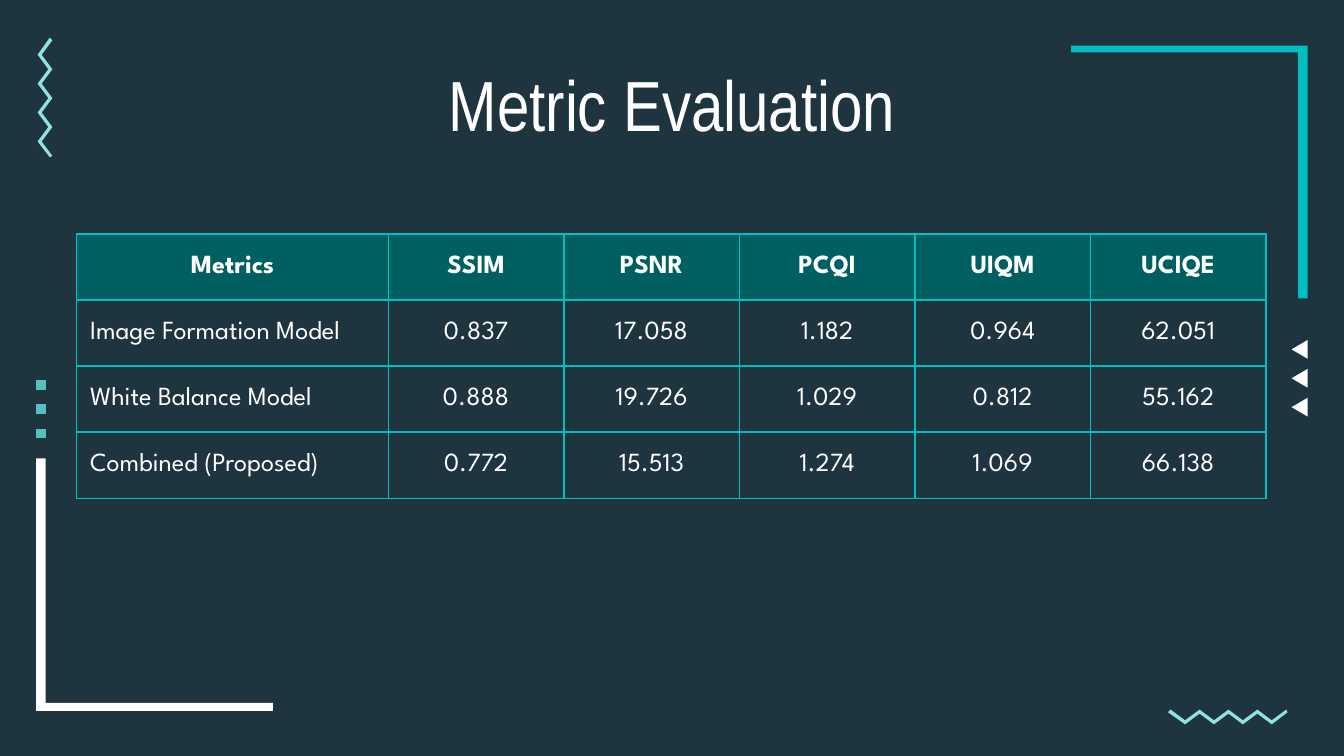
from lxml import etree
from pptx import Presentation
from pptx.dml.color import RGBColor
from pptx.enum.text import MSO_ANCHOR, PP_ALIGN
from pptx.oxml.ns import qn
from pptx.util import Inches, Pt

CENTER, LEFT = PP_ALIGN.CENTER, PP_ALIGN.LEFT
MIDDLE, TOP = MSO_ANCHOR.MIDDLE, MSO_ANCHOR.TOP
rgb = RGBColor.from_string
WHITE, CYAN, PALE, TEAL = "FFFFFF", "01BEC0", "92E0E0", "005F60"

deck = Presentation()
deck.slide_width, deck.slide_height = Inches(10), Inches(10 * 9 / 16)
slide = deck.slides.add_slide(deck.slide_layouts[6])
slide.background.fill.solid()
slide.background.fill.fore_color.rgb = rgb("1E343F")


def draw(points, color):
    """Add a closed, filled outline from points in inches."""
    spots = [(Inches(x), Inches(y)) for x, y in points]
    pen = slide.shapes.build_freeform(*spots[0])
    pen.add_line_segments(spots[1:], close=True)
    shape = pen.convert_to_shape()
    shape.shadow.inherit = False
    shape.fill.solid()
    shape.fill.fore_color.rgb = rgb(color)
    shape.line.fill.background()


def write(para, text, align, style):
    """Put one styled white run in a paragraph."""
    para.alignment = align
    run = para.add_run()
    run.text = text
    for name, value in style.items():
        setattr(run.font, name, value)
    run.font.color.rgb = rgb(WHITE)


# Zigzags: upper edge out, lower edge back
upper = [(0.02 + 0.86 / 8 * i, 0.08 * (i % 2)) for i in range(9)]
lower = [(u, v + 0.03) for u, v in upper]
lower[0], lower[-1] = (0, 0.02), (0.89, 0.02)
zigzag = upper + lower[::-1]
draw([(8.69 + u, 5.28 + v) for u, v in zigzag], PALE)
draw([(0.39 - v, 0.28 + u) for u, v in zigzag], PALE)

# Triangles on the right, squares on the left
for i in range(3):
    y = 2.6 + 0.43 / 2 * i
    draw([(9.61, y), (9.73, y + 0.07), (9.73, y - 0.07)], WHITE)
    y = 2.83 + 0.18 * i
    draw([(0.27, y), (0.34, y), (0.34, y + 0.07), (0.27, y + 0.07)], "58BEBF")

# Corner brackets
draw([(7.97, 0.34), (7.97, 0.39), (9.66, 0.39),
      (9.66, 2.22), (9.73, 2.22), (9.73, 0.34)], CYAN)
draw([(0.27, 3.41), (0.27, 5.29), (2.03, 5.29),
      (2.03, 5.23), (0.34, 5.23), (0.34, 3.41)], WHITE)

# Title
box = slide.shapes.add_textbox(Inches(0.78), Inches(0.4), Inches(8.44), Inches(0.68))
frame = box.text_frame
layout = {"word_wrap": True, "vertical_anchor": TOP,
          "margin_top": Inches(0.05), "margin_bottom": Inches(0.05)}
for name, value in layout.items():
    setattr(frame, name, value)
write(frame.paragraphs[0], "Metric Evaluation", CENTER,
      {"size": Pt(38), "name": "Arial Narrow"})

# Metric table
rows = [
    ["Metrics", "SSIM", "PSNR", "PCQI", "UIQM", "UCIQE"],
    ["Image Formation Model", "0.837", "17.058", "1.182", "0.964", "62.051"],
    ["White Balance Model", "0.888", "19.726", "1.029", "0.812", "55.162"],
    ["Combined (Proposed)", "0.772", "15.513", "1.274", "1.069", "66.138"],
]
table = slide.shapes.add_table(
    len(rows), len(rows[0]), Inches(0.57), Inches(1.74), Inches(8.85), Inches(1.97)
).table
table.horz_banding = False
for c, col in enumerate(table.columns):
    col.width = Inches((8.85 - 2.32) / 5 if c else 2.32)

for r, row in enumerate(rows):
    table.rows[r].height = Inches(1.97 / len(rows))
    for c, text in enumerate(row):
        cell = table.cell(r, c)
        cell.vertical_anchor = MIDDLE
        align = LEFT if r and not c else CENTER
        write(cell.text_frame.paragraphs[0], text, align,
              {"size": Pt(14), "name": "League Spartan", "bold": r == 0})
        # Borders come before the fill in the cell properties
        props = cell._tc.get_or_add_tcPr()
        for side in ("lnL", "lnR", "lnT", "lnB"):
            line = etree.SubElement(props, qn(f"a:{side}"), w=str(Pt(1)))
            paint = etree.SubElement(line, qn("a:solidFill"))
            etree.SubElement(paint, qn("a:srgbClr"), val=CYAN)
        if r:
            cell.fill.background()
        else:
            cell.fill.solid()
            cell.fill.fore_color.rgb = rgb(TEAL)

deck.save("out.pptx")
